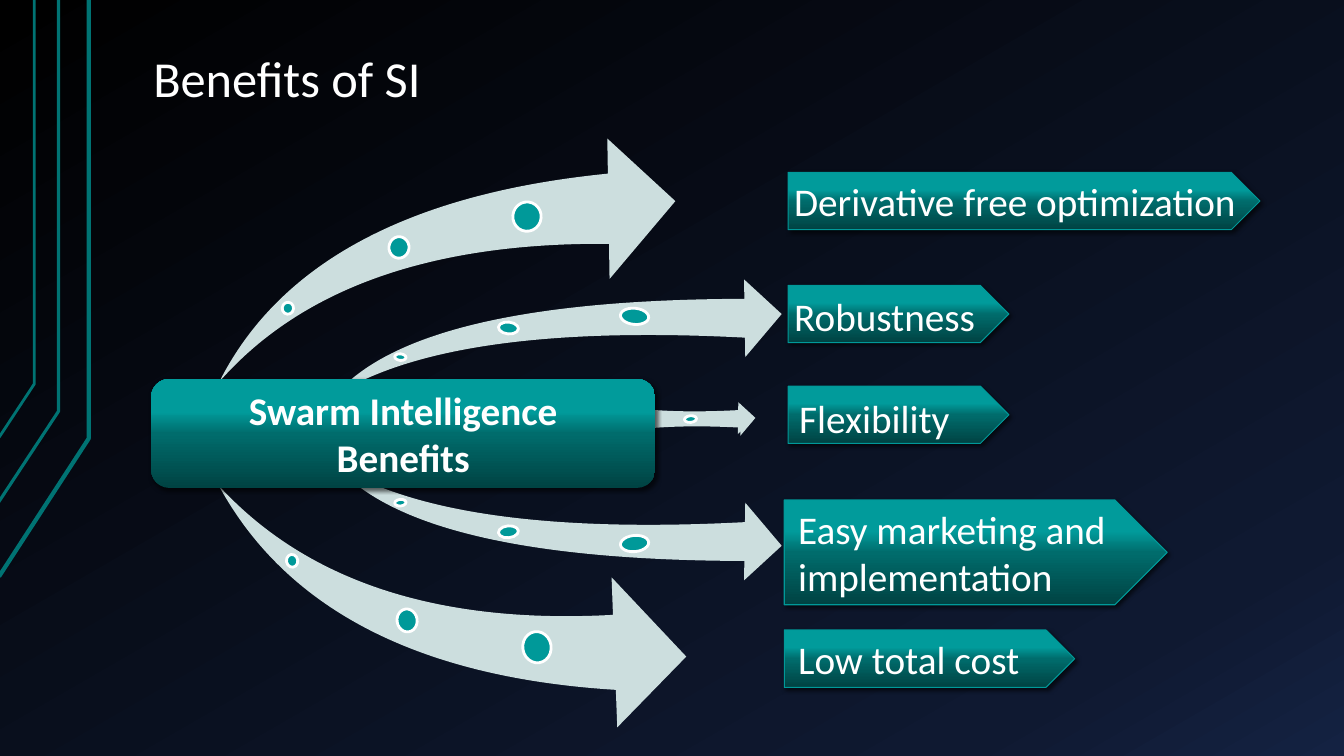
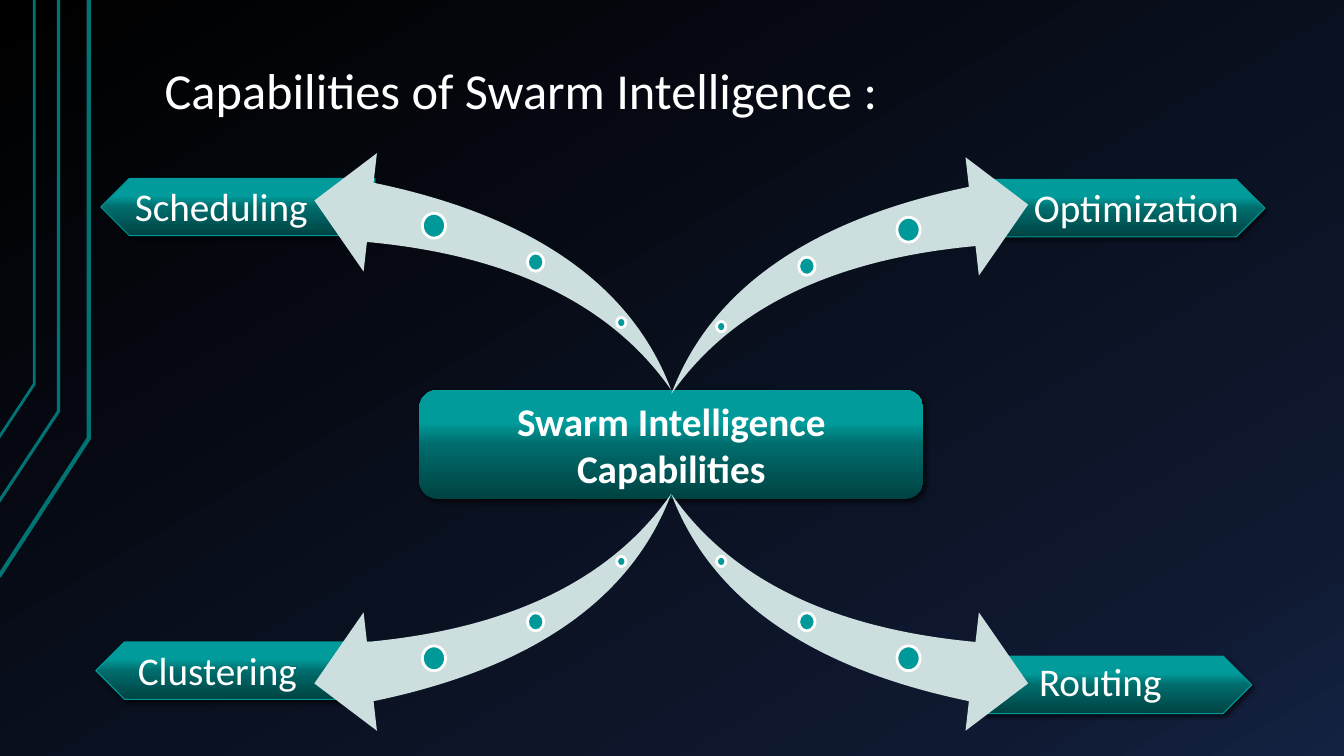
from math import cos, radians, sin

from pptx import Presentation
from pptx.dml.color import RGBColor
from pptx.enum.shapes import MSO_SHAPE as Geo
from pptx.enum.text import MSO_ANCHOR as Anchor, PP_ALIGN as Align
from pptx.oxml import parse_xml
from pptx.oxml.ns import nsdecls, qn
from pptx.util import Pt

FONT = "Calibri"
WHITE, TEAL, PALE, EDGE = "FFFFFF", "009999", "CCDEDE", "007373"
NIGHT = [(0, "000000"), (85, "0F1931"), (100, "142242")]
GLOSS = [(0, "004343"), (50, "006C6C"), (70, "019B9B"), (100, TEAL)]
RAILS = [  # points, line width
    ([(-0.7, 411.8), (63.4, 313.2), (63.4, 0)], 3),
    ([(-1.4, 359.3), (41.8, 293.8), (41.8, 0)], 2.25),
    ([(-0.7, 312.5), (24.5, 274.3), (24.5, 0)], 2),
]
# Centre and size of each dot, as shares of the swoosh's box
DOTS = [(0.14, 0.715, 0.026, 0.043),
        (0.38, 0.46, 0.046, 0.077),
        (0.665, 0.306, 0.065, 0.105)]
TAG_H = 41


def color(code):
    return RGBColor.from_string(code)


def blend(fill, root, stops, angle):
    """Give the fill held under root a linear gradient; angle is clockwise."""
    fill.gradient()
    grad = root.find(".//" + qn("a:gradFill"))
    for child in list(grad):
        grad.remove(child)
    marks = "".join(f'<a:gs pos="{pos * 1000}"><a:srgbClr val="{code}"/></a:gs>'
                    for pos, code in stops)
    grad.append(parse_xml(f'<a:gsLst {nsdecls("a")}>{marks}</a:gsLst>'))
    grad.append(parse_xml(
        f'<a:lin {nsdecls("a")} ang="{angle * 60000}" scaled="0"/>'))


def stroke(shape, code, width):
    shape.line.color.rgb = color(code)
    shape.line.width = Pt(width)


def flip(shape, axes):
    xfrm = shape.element.spPr.find(qn("a:xfrm"))
    for axis in axes:
        xfrm.set("flip" + axis, "1")


def add(shapes, geo, x, y, w, h):
    shape = shapes.add_shape(geo, Pt(x), Pt(y), Pt(w), Pt(h))
    shape.shadow.inherit = False
    return shape


def glossy(slide, geo, *box):
    """Teal gradient shape with a soft shadow."""
    shape = add(slide.shapes, geo, *box)
    blend(shape.fill, shape.element.spPr, GLOSS, 270)
    shape.element.spPr.find(qn("a:effectLst")).append(parse_xml(
        f'<a:outerShdw {nsdecls("a")} blurRad="{Pt(3)}" dist="{Pt(2)}" '
        'dir="2700000" algn="tl" rotWithShape="0"><a:srgbClr val="000000">'
        '<a:alpha val="60000"/></a:srgbClr></a:outerShdw>'))
    return shape


def write(frame, text, size=28, bold=None, align=Align.LEFT):
    frame.word_wrap = True
    frame.text = text
    for para in frame.paragraphs:
        para.alignment = align
        for run in para.runs:
            font = run.font
            font.name, font.size, font.bold = FONT, Pt(size), bold
            font.color.rgb = color(WHITE)


def label(slide, text, x, y, w, h=TAG_H):
    box = slide.shapes.add_textbox(Pt(x), Pt(y), Pt(w), Pt(h))
    write(box.text_frame, text)


def title(slide, text, x, y):
    box = slide.shapes.add_textbox(Pt(x), Pt(y), Pt(815.8), Pt(96.5))
    frame = box.text_frame
    write(frame, text, 36)
    frame.vertical_anchor = Anchor.BOTTOM
    frame.margin_left = frame.margin_right = Pt(9.4)
    frame.margin_top = frame.margin_bottom = Pt(5)
    frame.paragraphs[0].line_spacing = 0.9


def tag(slide, x, y, w, h=TAG_H, axes=""):
    shape = glossy(slide, Geo.PENTAGON, x, y, w, h)
    stroke(shape, TEAL, 0.75)
    flip(shape, axes)


def hub(slide, text, x, y):
    shape = glossy(slide, Geo.ROUNDED_RECTANGLE, x, y, 360, 77.8)
    shape.line.fill.background()
    write(shape.text_frame, text, bold=True, align=Align.CENTER)
    shape.text_frame.vertical_anchor = Anchor.MIDDLE


def swoosh(slide, x, y, w, h, turn=0, axes=""):
    """Curved arrow with three dots that follow its flip and its turn."""
    shapes = slide.shapes.add_group_shape().shapes
    arrow = add(shapes, Geo.SWOOSH_ARROW, x, y, w, h)
    arrow.adjustments[0] = arrow.adjustments[1] = 0.25
    arrow.fill.solid()
    arrow.fill.fore_color.rgb = color(PALE)
    arrow.line.fill.background()
    arrow.rotation = turn
    flip(arrow, axes)
    c, s = cos(radians(turn)), sin(radians(turn))
    for px, py, pw, ph in DOTS:
        dx = (px - 0.5) * w * (-1 if "H" in axes else 1)
        dy = (py - 0.5) * h * (-1 if "V" in axes else 1)
        dw, dh = pw * w, ph * h
        dot = add(shapes, Geo.OVAL,
                  x + w / 2 + dx * c - dy * s - dw / 2,
                  y + h / 2 + dx * s + dy * c - dh / 2, dw, dh)
        dot.rotation = turn
        dot.fill.solid()
        dot.fill.fore_color.rgb = color(TEAL)
        stroke(dot, WHITE, 2)


def start(deck):
    """New slide with the night background and the rails at its left edge."""
    slide = deck.slides.add_slide(deck.slide_layouts[6])
    blend(slide.background.fill, slide.element, NIGHT, 60)
    for points, width in RAILS:
        first, *rest = [(Pt(x), Pt(y)) for x, y in points]
        path = slide.shapes.build_freeform(*first)
        path.add_line_segments(rest, close=False)
        rail = path.convert_to_shape()
        rail.shadow.inherit = False
        rail.fill.background()
        stroke(rail, EDGE, width)
    return slide


def benefits(deck):
    slide = start(deck)
    title(slide, "Benefits of SI", 100.1, -13.7)
    for box in [(563, 123.1, 337), (563, 203.8, 157.7), (563, 275.8, 157.7),
                (560.2, 357.1, 273.6, 74.9), (560.2, 450, 207.4)]:
        tag(slide, *box)
    for text, *box in [
            ("Derivative free optimization", 560.2, 123.1, 337),
            ("Robustness", 560.2, 205.2, 147.6),
            ("Flexibility", 563.8, 277.9, 128.9),
            ("Easy marketing and\nimplementation", 563, 357.1, 252, 74.9),
            ("Low total cost", 563, 450, 180.7)]:
        label(slide, text, *box)
    for arrow in [(165.6, 88.6, 311.8, 199.4, 5.5),
                  (244.1, 187.2, 311.8, 110.2, 5.5),
                  (244.1, 316.8, 311.8, 110.2, -5.5, "V"),
                  (170.6, 322.6, 311.8, 213.1, -8.6, "V"),
                  (405.4, 283, 133.2, 45.4, 5.5),
                  (403.9, 270, 133.2, 45.4, -5.5, "V")]:
        swoosh(slide, *arrow)
    hub(slide, "Swarm Intelligence\nBenefits", 108, 270.7)


def skills(deck):
    slide = start(deck)
    title(slide, "Capabilities of Swarm Intelligence :", 108.2, -5.8)
    for x, y, axes in [(68.4, 458.6, "H"), (698.4, 468.7, ""),
                       (72, 127.4, "H"), (707.8, 128.2, "")]:
        tag(slide, x, y, 195.8, axes=axes)
    hub(slide, "Swarm Intelligence\nCapabilities", 299.5, 278.6)
    for x, y, axes in [(479.5, 112.3, ""), (479.5, 352.8, "V"),
                       (224.6, 352.8, "HV"), (224.6, 109.4, "H")]:
        swoosh(slide, x, y, 254.9, 169.2, axes=axes)
    for text, *box in [("Optimization", 731.5, 127.4, 170.6),
                       ("Routing", 735.1, 465.8, 116.6),
                       ("Clustering", 91.4, 457.9, 252),
                       ("Scheduling", 89.3, 126.7, 252)]:
        label(slide, text, *box)


def main():
    deck = Presentation()
    deck.slide_width, deck.slide_height = Pt(960), Pt(540)
    benefits(deck)
    skills(deck)
    deck.save("out.pptx")


if __name__ == "__main__":
    main()
